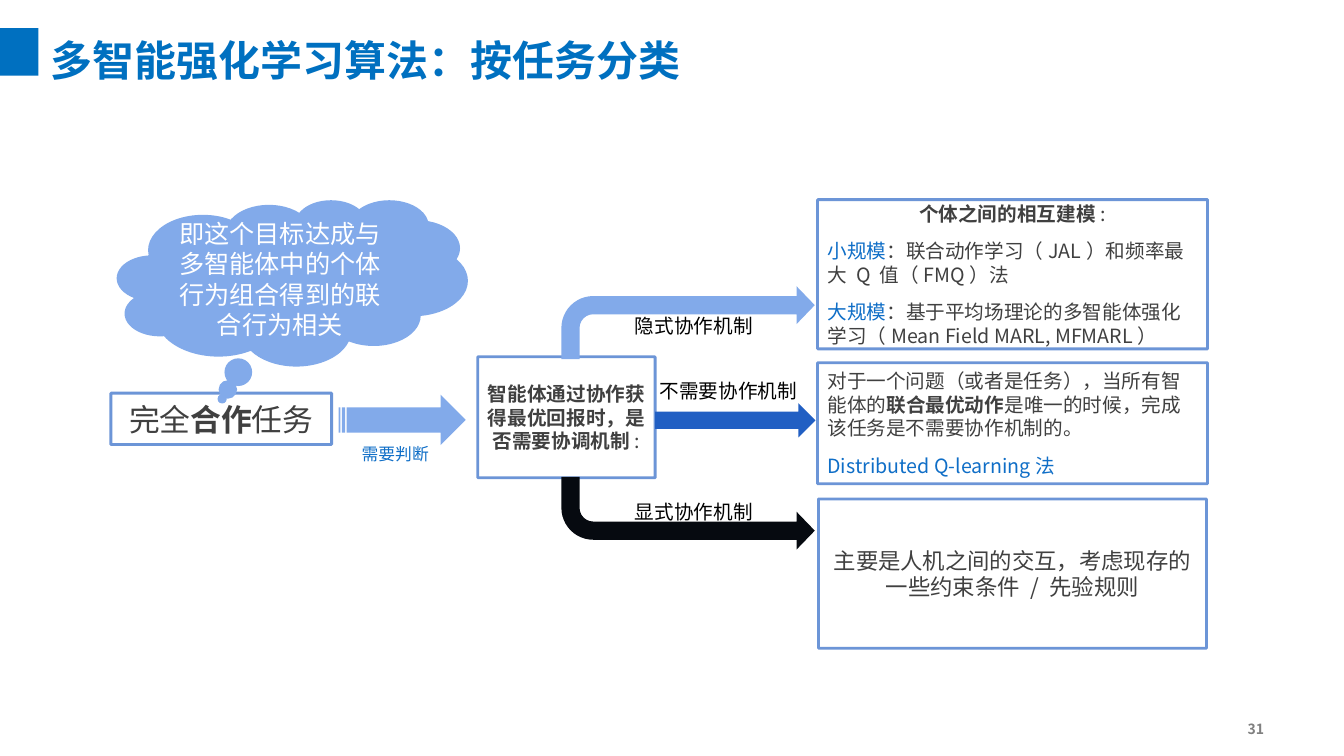
"""Build the slide that sorts multi-agent learning algorithms by task."""
from lxml import etree
from pptx import Presentation
from pptx.dml.color import RGBColor
from pptx.enum import shapes, text
from pptx.oxml.ns import qn
from pptx.util import Pt

TITLE_BLUE = RGBColor(0x00, 0x70, 0xC0)
TEXT_BLUE = RGBColor(0x0F, 0x6E, 0xC7)
DEEP_BLUE = RGBColor(0x21, 0x5F, 0xC3)
SOFT_BLUE = RGBColor(0x82, 0xAA, 0xEA)
INK = RGBColor(0x06, 0x0A, 0x10)
DARK = RGBColor(0x40, 0x40, 0x40)
GREY = RGBColor(0x80, 0x80, 0x80)
BLACK = RGBColor(0, 0, 0)
WHITE = RGBColor(0xFF, 0xFF, 0xFF)
NOTO, ARIAL = "Noto Sans CJK SC", "Arial"
KIND = shapes.MSO_SHAPE
ALIGN = text.PP_ALIGN
MIDDLE, TOP = text.MSO_ANCHOR.MIDDLE, text.MSO_ANCHOR.TOP


def set_font(font, size, color, name, bold=None):
    """Set size, colour, typeface and weight of a font."""
    font.size, font.name, font.bold = Pt(size), name, bold
    font.color.rgb = color


def add_paragraph(tf, runs, size, color, name, align, bold=None):
    """Fill the next paragraph with (text, overrides) runs."""
    first = not tf.paragraphs[0].runs
    p = tf.paragraphs[0] if first else tf.add_paragraph()
    p.alignment = align
    if not first:
        p.space_before = Pt(10)
    set_font(p.font, size, color, name, bold)
    latin = p._p.pPr.find(qn("a:defRPr")).find(qn("a:latin"))
    ea = etree.Element(qn("a:ea"), typeface=NOTO)
    latin.addnext(ea)
    for words, look in runs:
        r = p.add_run()
        r.text = words
        if "bold" in look:
            r.font.bold = look["bold"]
        if "color" in look:
            r.font.color.rgb = look["color"]
    return p


def add_block(s, kind, box, fill):
    """Add a filled shape without outline."""
    sp = s.shapes.add_shape(kind, *map(Pt, box))
    sp.shadow.inherit = False
    sp.fill.solid()
    sp.fill.fore_color.rgb = fill
    sp.line.fill.background()
    return sp


def add_bent_arrow(s, box, fill, flip=False):
    """Add a bent arrow, turned downwards on request."""
    sp = add_block(s, KIND.BENT_ARROW, box, fill)
    for i, value in enumerate((0.25, 0.26, 0.25, 0.438)):
        sp.adjustments[i] = value
    if flip:
        sp._element.spPr.find(qn("a:xfrm")).set("flipV", "1")


def add_box(s, box, paragraphs, size=14, align=ALIGN.CENTER):
    """Add an outlined white box; each paragraph is (alignment or None, runs)."""
    sp = add_block(s, KIND.RECTANGLE, box, WHITE)
    sp.line.color.rgb = DEEP_BLUE
    sp.line.width = Pt(2)
    color = sp.line._ln.find(qn("a:solidFill"))[0]
    etree.SubElement(color, qn("a:alpha"), val="65000")
    tf = sp.text_frame
    tf.word_wrap, tf.vertical_anchor = True, MIDDLE
    for own_align, runs in paragraphs:
        add_paragraph(tf, runs, size, DARK, NOTO, own_align or align)


def add_label(s, box, words, size=14, color=BLACK, name=ARIAL,
              align=ALIGN.CENTER, bold=None, anchor=MIDDLE):
    """Add a one-paragraph text box."""
    tf = s.shapes.add_textbox(*map(Pt, box)).text_frame
    tf.word_wrap, tf.vertical_anchor = True, anchor
    add_paragraph(tf, [(words, {})], size, color, name, align, bold)
    return tf


def add_heading(s):
    """Add the title, its marker and the page number."""
    add_block(s, KIND.RECTANGLE, (-0.5, 20, 28, 34), TITLE_BLUE)
    tf = add_label(s, (36, 28.8, 724, 27.4), "多智能强化学习算法：按任务分类",
                   30, TITLE_BLUE, NOTO, ALIGN.LEFT, True, TOP)
    tf.margin_left = tf.margin_right = tf.margin_top = tf.margin_bottom = 0
    tf.paragraphs[0].line_spacing = 0.9
    add_label(s, (881.3, 515.5, 28.8, 10), "31", 10, GREY, NOTO,
              ALIGN.RIGHT, True)


def add_task(s):
    """Add the cooperative task, its thought cloud and the arrow onwards."""
    add_box(s, (79.2, 280.8, 157.7, 36.7),
            [(None, [("完全", {}), ("合作", {"bold": True}), ("任务", {})])], 22)
    cloud = add_block(s, KIND.CLOUD_CALLOUT, (83.5, 142.6, 250.6, 118.8),
                      SOFT_BLUE)
    cloud.adjustments[0], cloud.adjustments[1] = -0.2, 0.698
    cloud.text_frame.word_wrap = True
    cloud.text_frame.vertical_anchor = MIDDLE
    add_paragraph(cloud.text_frame,
                  [("即这个目标达成与多智能体中的个体行为组合得到的联合行为相关", {})],
                  18, WHITE, ARIAL, ALIGN.CENTER)
    add_block(s, KIND.STRIPED_RIGHT_ARROW, (242, 282, 90.7, 36), SOFT_BLUE)
    add_label(s, (237, 313.2, 90.7, 21.6), "需要判断", 12, TEXT_BLUE)


def add_branches(s):
    """Add the decision box and the three labelled arrows."""
    add_box(s, (341.3, 254.9, 126.7, 86.4), [(None, [
        ("智能体通过协作获得最优回报时，是否需要协调机制", {"bold": True}),
        (":", {})])])
    add_bent_arrow(s, (401, 340.6, 181, 52), INK, flip=True)
    add_block(s, KIND.RIGHT_ARROW, (468, 288, 114.5, 24.5), DEEP_BLUE)
    add_bent_arrow(s, (401, 204.5, 181, 52), SOFT_BLUE)
    for left, top, words in ((458, 267, "不需要协作机制"),
                             (433.4, 220.3, "隐式协作机制"),
                             (433.4, 353.5, "显式协作机制")):
        add_label(s, (left, top, 124.6, 24.5), words)


def add_outcomes(s):
    """Add the three result boxes on the right."""
    blue, bold = {"color": TEXT_BLUE}, {"bold": True}
    add_box(s, (584, 259.2, 278.6, 86.4), [
        (None, [("对于一个问题（或者是任务），当所有智能体的", {}),
                ("联合最优动作", bold),
                ("是唯一的时候，完成该任务是不需要协作机制的。", {})]),
        (None, [("Distributed Q-learning法", blue)])], align=ALIGN.LEFT)
    add_box(s, (584, 142.6, 278.6, 106.6), [
        (ALIGN.CENTER, [("个体之间的相互建模", bold), (":", {})]),
        (None, [("小规模", blue),
                ("：联合动作学习（JAL）和频率最大 Q 值（FMQ）法", {})]),
        (None, [("大规模", blue),
                ("：基于平均场理论的多智能体强化学习（Mean Field MARL, MFMARL）", {})]),
    ], align=ALIGN.LEFT)
    add_box(s, (584.6, 356.4, 277.2, 106.6), [
        (None, [("主要是人机之间的交互，考虑现存的一些约束条件 / 先验规则", {})])], 16)


def main():
    """Build and save the slide."""
    prs = Presentation()
    prs.slide_width, prs.slide_height = Pt(960), Pt(540)
    s = prs.slides.add_slide(prs.slide_layouts[6])
    add_heading(s)
    add_task(s)
    add_branches(s)
    add_outcomes(s)
    prs.save("out.pptx")


if __name__ == "__main__":
    main()
